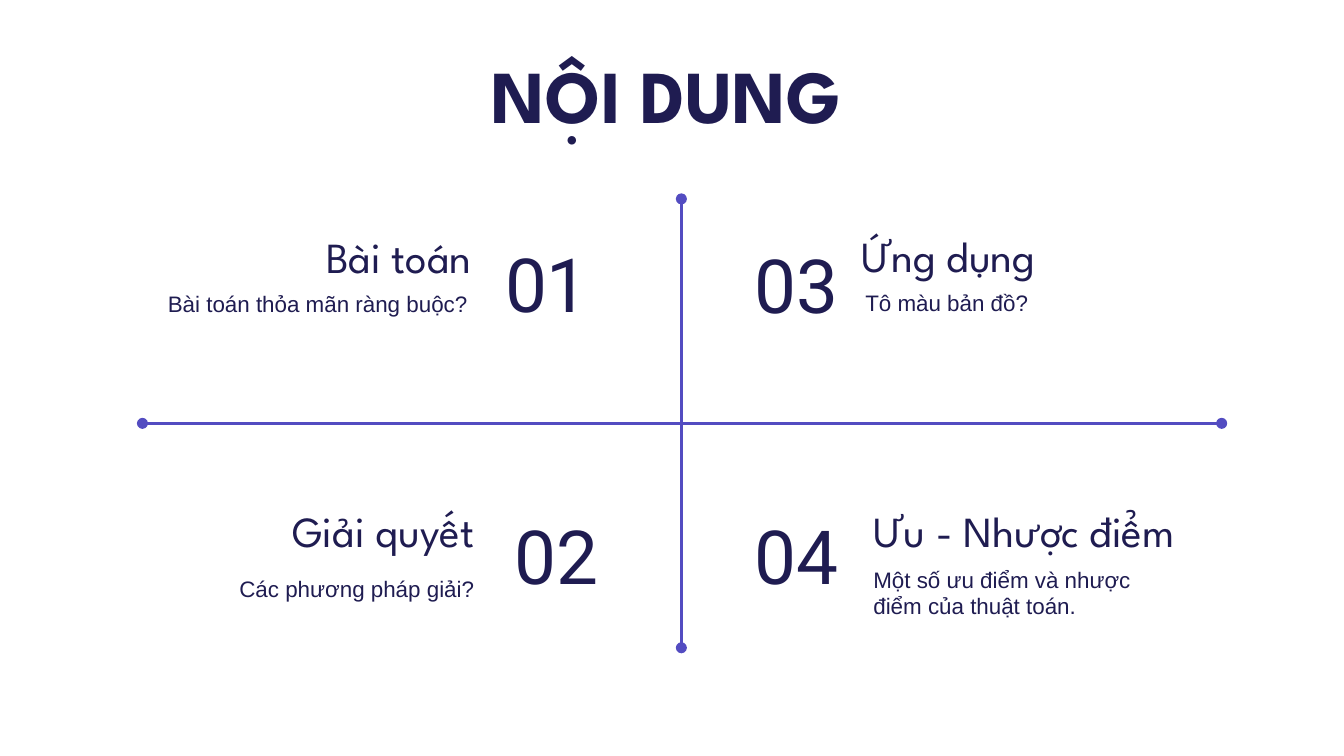
from typing import Any, NamedTuple

from lxml.etree import SubElement
from pptx import Presentation
from pptx.dml.color import RGBColor
from pptx.enum.shapes import MSO_CONNECTOR
from pptx.enum.text import MSO_ANCHOR, MSO_AUTO_SIZE, PP_ALIGN
from pptx.oxml.ns import qn
from pptx.util import Inches, Pt

INK = "1F1C51"
LINE = "534CC1"
WIDTH = 10
HEIGHT = WIDTH * 9 / 16
LEFT, RIGHT = PP_ALIGN.LEFT, PP_ALIGN.RIGHT
MID, LOW = MSO_ANCHOR.MIDDLE, MSO_ANCHOR.BOTTOM
PAD = Inches(0.1)
FRAME = {
    "word_wrap": True,
    "auto_size": MSO_AUTO_SIZE.NONE,
    "margin_left": PAD,
    "margin_right": PAD,
    "margin_top": PAD,
    "margin_bottom": PAD,
}
TITLE = {"name": "League Spartan", "size": Pt(40), "bold": True}
DIGIT = {"name": "Roboto", "size": Pt(40), "bold": False}
HEAD = {"name": "League Spartan", "size": Pt(23), "bold": False}
NOTE = {"name": "Arial", "size": Pt(12), "bold": False}


class Box(NamedTuple):
    left: float
    top: float
    width: float
    height: float


class Part(NamedTuple):
    digit: str
    head: str
    note: str
    digit_at: tuple[float, float]
    head_at: tuple[float, float]
    note_box: Box
    align: PP_ALIGN
    anchor: MSO_ANCHOR


class Axis(NamedTuple):
    x1: float
    y1: float
    x2: float
    y2: float


PARTS = [
    Part("01", "Bài toán", "Bài toán thỏa mãn ràng buộc?",
         (3.66, 1.67), (0.63, 1.66), Box(0.6, 2.01, 2.98, 0.5), RIGHT, MID),
    Part("02", "Giải quyết", "Các phương pháp giải?",
         (3.73, 3.7), (0.65, 3.74), Box(1.2, 4.13, 2.43, 0.5), RIGHT, LOW),
    Part("03", "Ứng dụng", "Tô màu bản đồ?",
         (5.04, 1.68), (6.31, 1.69), Box(6.34, 2, 2.23, 0.5), LEFT, LOW),
    Part("04", "Ưu - Nhược điểm", "Một số ưu điểm và nhược điểm của thuật toán.",
         (5.04, 3.7), (6.4, 3.74), Box(6.4, 4.16, 2.33, 0.5), LEFT, LOW),
]
AXES = [Axis(5.07, 1.48, 5.07, 4.82), Axis(1.06, 3.15, 9.09, 3.15)]


def paint(code: str) -> RGBColor:
    return RGBColor.from_string(code)


def apply(item: Any, form: dict[str, Any]) -> None:
    for key, value in form.items():
        setattr(item, key, value)


def fill_text(shape: Any, text: str, font: dict[str, Any],
              align: PP_ALIGN = LEFT, anchor: MSO_ANCHOR = MID) -> None:
    frame = shape.text_frame
    apply(frame, FRAME | {"vertical_anchor": anchor})
    para = frame.paragraphs[0]
    para.alignment = align
    run = para.add_run()
    run.text = text
    apply(run.font, font)
    run.font.color.rgb = paint(INK)


def add_text(slide: Any, box: Box, text: str, font: dict[str, Any],
             align: PP_ALIGN, anchor: MSO_ANCHOR = MID) -> None:
    shape = slide.shapes.add_textbox(*map(Inches, box))
    fill_text(shape, text, font, align, anchor)


def add_title(slide: Any, box: Box, text: str) -> None:
    title = slide.shapes.title
    apply(title, dict(zip(Box._fields, map(Inches, box))))
    fill_text(title, text, TITLE)


def add_axis(slide: Any, axis: Axis) -> None:
    rule = slide.shapes.add_connector(MSO_CONNECTOR.STRAIGHT, *map(Inches, axis))
    rule.line.color.rgb = paint(LINE)
    rule.line.width = Pt(1.5)
    for end in ("a:headEnd", "a:tailEnd"):
        SubElement(rule.line._get_or_add_ln(), qn(end), type="oval")
    SubElement(rule._element.spPr, qn("a:effectLst"))


def add_part(slide: Any, part: Part) -> None:
    inner = LEFT if part.align == RIGHT else RIGHT
    add_text(slide, Box(*part.digit_at, 1.3, 0.86), part.digit, DIGIT, inner)
    add_text(slide, Box(*part.head_at, 2.98, 0.5), part.head, HEAD,
             part.align, part.anchor)
    add_text(slide, part.note_box, part.note, NOTE, part.align)


def main() -> None:
    deck = Presentation()
    apply(deck, {"slide_width": Inches(WIDTH), "slide_height": Inches(HEIGHT)})
    slide = deck.slides.add_slide(deck.slide_layouts.get_by_name("Title Only"))
    add_title(slide, Box(3.56, 0.27, 2.98, 0.86), "NỘI DUNG")
    for axis in AXES:
        add_axis(slide, axis)
    for part in PARTS:
        add_part(slide, part)
    deck.save("out.pptx")


if __name__ == "__main__":
    main()
